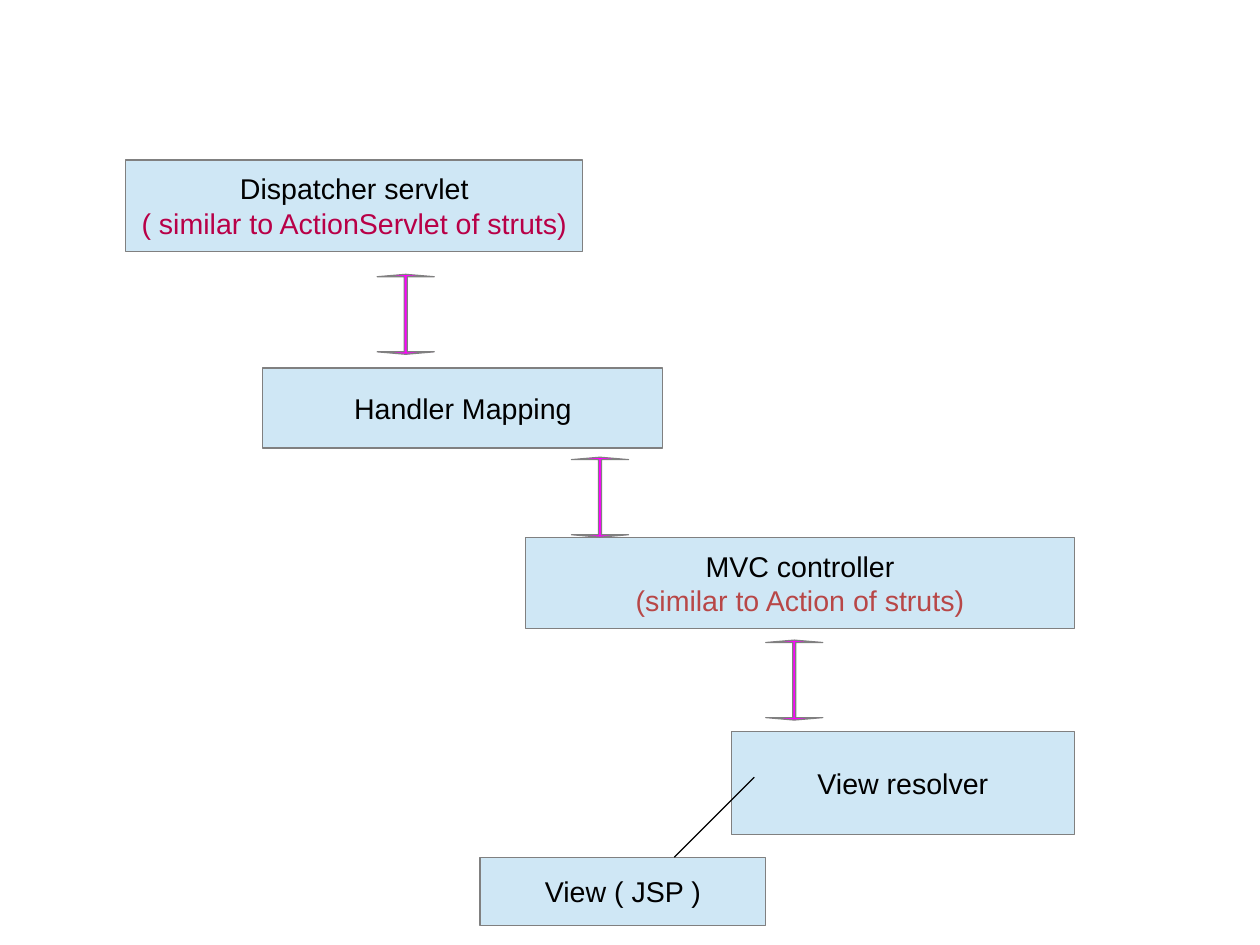
from dataclasses import dataclass

from lxml.etree import SubElement
from pptx import Presentation
from pptx.dml.color import RGBColor
from pptx.enum.shapes import MSO_CONNECTOR, MSO_SHAPE
from pptx.enum.text import MSO_ANCHOR, PP_ALIGN
from pptx.oxml.ns import qn
from pptx.util import Pt


@dataclass(frozen=True)
class Theme:
    font: str = "Arial"
    size: float = 18
    ink: str = "000000"
    rose: str = "B80047"
    brick: str = "B84747"
    fill: str = "CFE7F5"
    edge: str = "808080"
    arrow: str = "FF00FF"
    line: float = 0.75


THEME = Theme()


def write(para, text, color=THEME.ink, size=THEME.size, align=PP_ALIGN.CENTER):
    para.alignment = align
    run = para.add_run()
    run.text = text
    run.font.name = THEME.font
    run.font.size = Pt(size)
    run.font.color.rgb = RGBColor.from_string(color)


def draw(slide, kind, box, fill):
    """Add a filled, thinly outlined preset shape."""
    shape = slide.shapes.add_shape(kind, *(Pt(side) for side in box))
    shape.shadow.inherit = False
    shape.fill.solid()
    shape.fill.fore_color.rgb = RGBColor.from_string(fill)
    shape.line.color.rgb = RGBColor.from_string(THEME.edge)
    shape.line.width = Pt(THEME.line)
    return shape


def add_stage(slide, box, title, note=None, tint=THEME.ink):
    """Add a named box with an optional tinted second line."""
    frame = draw(slide, MSO_SHAPE.RECTANGLE, box, THEME.fill).text_frame
    frame.word_wrap = False
    frame.vertical_anchor = MSO_ANCHOR.MIDDLE
    write(frame.paragraphs[0], title)
    if note:
        write(frame.add_paragraph(), note, color=tint)


def add_arrow(slide, box):
    """Add a two-way arrow with a thin shaft and flat heads."""
    arrow = draw(slide, MSO_SHAPE.UP_DOWN_ARROW, box, THEME.arrow)
    guides = arrow.element.spPr.find(qn("a:prstGeom")).find(qn("a:avLst"))
    guides.clear()
    for name, value in (("adj1", 5400), ("adj2", 4300)):
        SubElement(guides, qn("a:gd"), name=name, fmla=f"val {value}")


def add_link(slide, start, end):
    ends = (Pt(value) for value in (*start, *end))
    link = slide.shapes.add_connector(MSO_CONNECTOR.STRAIGHT, *ends)
    link.line.color.rgb = RGBColor.from_string(THEME.ink)
    link.line.width = Pt(THEME.line)
    SubElement(link.element.spPr, qn("a:effectLst"))


def add_flow(slide, box):
    """Lay out the request flow, from servlet to view, inside the box."""
    left, top, width, height = box
    right, base = left + width, top + height
    stages = (
        ((right - 345.6, top + 237.6, 345.6, 57.6),
         "MVC controller", "(similar to Action of struts)", THEME.brick),
        ((left + 86.4, top + 131.04, 252, 50.4), "Handler Mapping"),
        ((left, top, 288, 57.6),
         "Dispatcher servlet", "( similar to ActionServlet of struts)", THEME.rose),
        ((right - 216, top + 360, 216, 64.8), "View resolver"),
    )
    for stage in stages:
        add_stage(slide, *stage)
    for step in range(3):
        add_arrow(slide, (left + 158.4 + 122.4 * step,
                          top + 72 + 115.2 * step, 36, 50.4))
    add_stage(slide, (left + 223.2, base - 43.2, 180, 43.2), "View ( JSP )")
    add_link(slide, (right - 201.6, base - 93.6), (right - 252, base - 43.2))


def main():
    deck = Presentation()
    deck.slide_width, deck.slide_height = Pt(793.75), Pt(595.25)
    slide = deck.slides.add_slide(deck.slide_layouts[6])
    add_flow(slide, (79.2, 100.8, 597.6, 482.4))
    deck.save("out.pptx")


if __name__ == "__main__":
    main()
